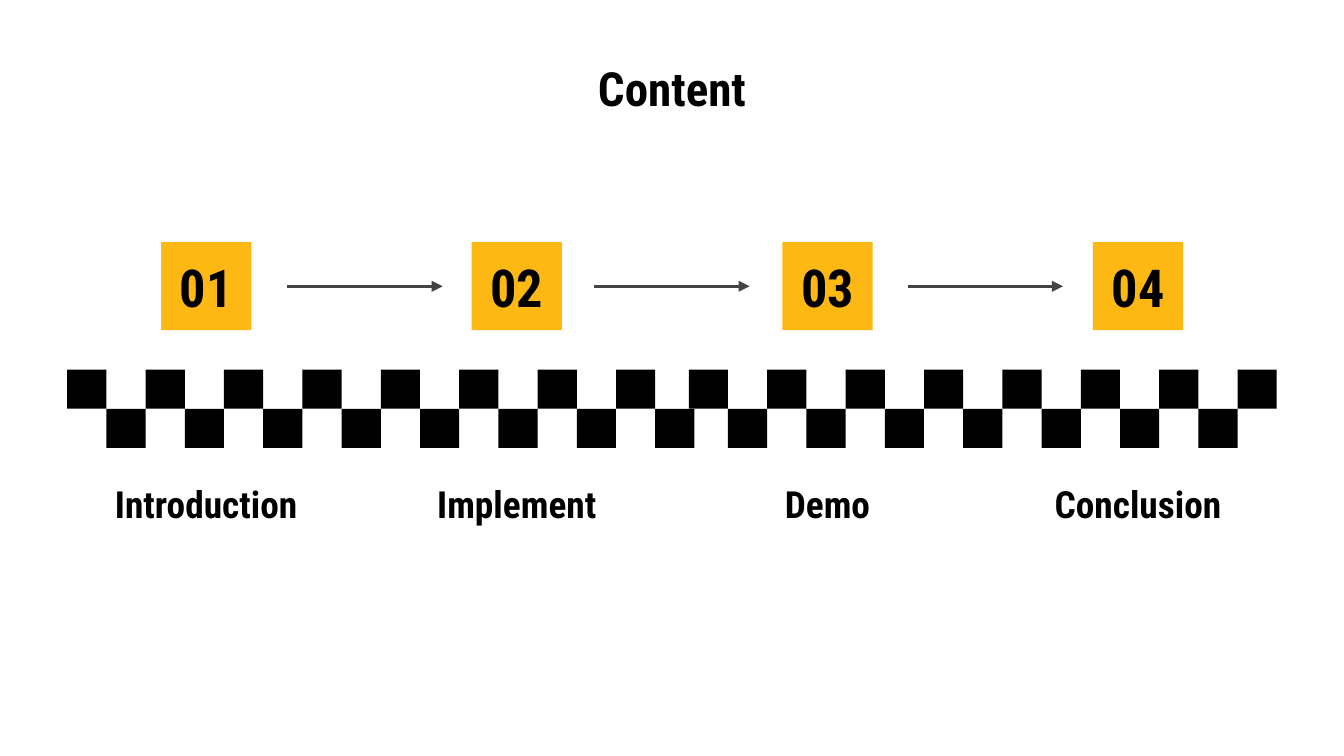
from pptx import Presentation
from pptx.dml.color import RGBColor
from pptx.enum.shapes import MSO_CONNECTOR, MSO_SHAPE
from pptx.enum.text import MSO_ANCHOR, PP_ALIGN
from pptx.oxml.ns import qn
from pptx.util import Pt
from lxml.etree import SubElement

TITLE = "Content"
STEPS = ["Introduction", "Implement", "Demo", "Conclusion"]
ARROW_STARTS = [153.9, 318.3, 486.2]
CHECKER_RUNS = [(36, 16), (369, 15)]  # left edge, number of tiles


class Theme:
    font = "Roboto Condensed"
    black = RGBColor.from_string("000000")
    yellow = RGBColor.from_string("FDB813")
    grey = RGBColor.from_string("434343")
    title_size, number_size, label_size = 25.2, 28, 20


FIRST_CENTER, STEP_GAP = 110.5, 166.4
BADGE_TOP, BADGE_WIDTH, BADGE_HEIGHT = 129.8, 48.4, 47.1
LABEL_TOP, LABEL_WIDTH, LABEL_HEIGHT = 257, 130.4, 26
ARROW_Y, ARROW_LENGTH = 153.4, 83.3
CHECKER_TOP, TILE = 198, 21


def write(shape, text, size):
    frame = shape.text_frame
    settings = {"word_wrap": True, "vertical_anchor": MSO_ANCHOR.MIDDLE}
    for side in ("left", "top", "right", "bottom"):
        settings[f"margin_{side}"] = Pt(7.2)
    for name, value in settings.items():
        setattr(frame, name, value)
    para = frame.paragraphs[0]
    para.alignment = PP_ALIGN.CENTER
    span = para.add_run()
    span.text = text
    for name, value in {"name": Theme.font, "size": Pt(size), "bold": True}.items():
        setattr(span.font, name, value)
    span.font.color.rgb = Theme.black


def add_text(page, text, size, *bounds):
    write(page.shapes.add_textbox(*map(Pt, bounds)), text, size)


def add_rectangle(page, color, *bounds):
    box = page.shapes.add_shape(MSO_SHAPE.RECTANGLE, *map(Pt, bounds))
    box.shadow.inherit = False
    box.fill.solid()
    box.fill.fore_color.rgb = color
    box.line.fill.background()
    return box


def add_arrow(page, start):
    ends = (start, ARROW_Y, start + ARROW_LENGTH, ARROW_Y)
    arrow = page.shapes.add_connector(MSO_CONNECTOR.STRAIGHT, *map(Pt, ends))
    arrow.line.color.rgb = Theme.grey
    arrow.line.width = Pt(1.5)
    SubElement(arrow.line._get_or_add_ln(), qn("a:tailEnd"), type="triangle")
    SubElement(arrow._element.spPr, qn("a:effectLst"))


def add_checker(page, left, count):
    """Alternate tiles between the upper and the lower row."""
    for index in range(count):
        top = CHECKER_TOP + index % 2 * TILE
        add_rectangle(page, Theme.black, left + index * TILE, top, TILE, TILE)


def main():
    deck = Presentation()
    deck.slide_width, deck.slide_height = Pt(720), Pt(405)
    page = deck.slides.add_slide(deck.slide_layouts[6])

    add_text(page, TITLE, Theme.title_size, 36, 32.4, 648, 29.5)
    for left, count in CHECKER_RUNS:
        add_checker(page, left, count)
    for index, label in enumerate(STEPS):
        center = FIRST_CENTER + index * STEP_GAP
        add_text(page, label, Theme.label_size,
                 center - LABEL_WIDTH / 2, LABEL_TOP, LABEL_WIDTH, LABEL_HEIGHT)
        badge = add_rectangle(page, Theme.yellow, center - BADGE_WIDTH / 2,
                              BADGE_TOP, BADGE_WIDTH, BADGE_HEIGHT)
        write(badge, f"{index + 1:02}", Theme.number_size)
    for start in ARROW_STARTS:
        add_arrow(page, start)

    deck.save("out.pptx")


if __name__ == "__main__":
    main()
